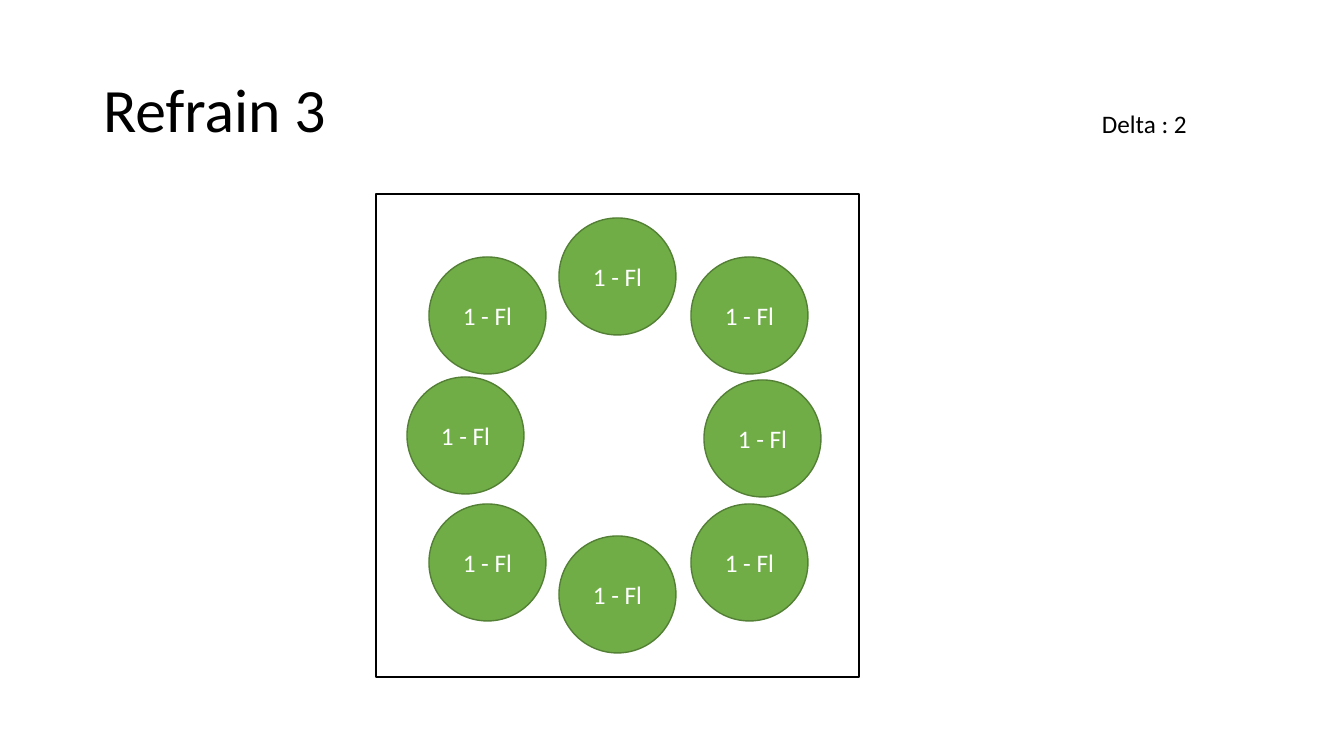
from pptx import Presentation
from pptx.dml.color import RGBColor
from pptx.enum.shapes import MSO_SHAPE as Shape
from pptx.enum.text import MSO_ANCHOR as Anchor, PP_ALIGN as Align
from pptx.util import Pt

SLIDE = (1344, 756)
TITLE = ("Refrain 3", (93, 40, 1159, 146))
DELTA = ("Delta : 2", (1092, 103, 308, 40))
STAGE = (376, 194, 483, 483)
DANCER_LABEL = "1 - Fl"
DANCER_SIZE = 117
DANCERS = [
    (691, 257), (559, 218), (429, 257), (407, 377),
    (429, 504), (559, 536), (691, 504), (704, 380),
]
BLACK, WHITE, GREEN, DARK_GREEN = "000000", "FFFFFF", "70AD47", "538035"
EMU_PER_PX = 914400 / 100.8


def px(length):
    return round(length * EMU_PER_PX)


def color(value):
    return RGBColor.from_string(value)


def write(holder, text, size, ink, align=Align.LEFT, anchor=Anchor.MIDDLE, spacing=1.0):
    frame = holder.text_frame
    frame.text = text
    frame.word_wrap = True
    frame.vertical_anchor = anchor
    line = frame.paragraphs[0]
    line.alignment = align
    line.line_spacing = spacing
    font = line.runs[0].font
    for key, value in {"name": "Calibri", "size": Pt(size)}.items():
        setattr(font, key, value)
    font.color.rgb = color(ink)


def draw(slide, kind, box, outline, fill=None):
    figure = slide.shapes.add_shape(kind, *map(px, box))
    figure.shadow.inherit = False
    figure.line.color.rgb = color(outline)
    figure.line.width = Pt(1)
    if fill:
        figure.fill.solid()
        figure.fill.fore_color.rgb = color(fill)
    else:
        figure.fill.background()
    return figure


def main():
    deck = Presentation()
    deck.slide_width, deck.slide_height = map(px, SLIDE)
    slide = deck.slides.add_slide(deck.slide_layouts[5])

    title_text, title_box = TITLE
    heading = slide.shapes.title
    for side, length in zip(("left", "top", "width", "height"), title_box):
        setattr(heading, side, px(length))
    write(heading, title_text, 44, BLACK, spacing=0.9)

    draw(slide, Shape.RECTANGLE, STAGE, BLACK)
    for left, top in DANCERS:
        box = (left, top, DANCER_SIZE, DANCER_SIZE)
        dancer = draw(slide, Shape.OVAL, box, DARK_GREEN, GREEN)
        write(dancer, DANCER_LABEL, 18, WHITE, Align.CENTER)

    delta_text, delta_box = DELTA
    delta = slide.shapes.add_textbox(*map(px, delta_box))
    write(delta, delta_text, 18, BLACK, anchor=Anchor.TOP)

    deck.save("out.pptx")


if __name__ == "__main__":
    main()
